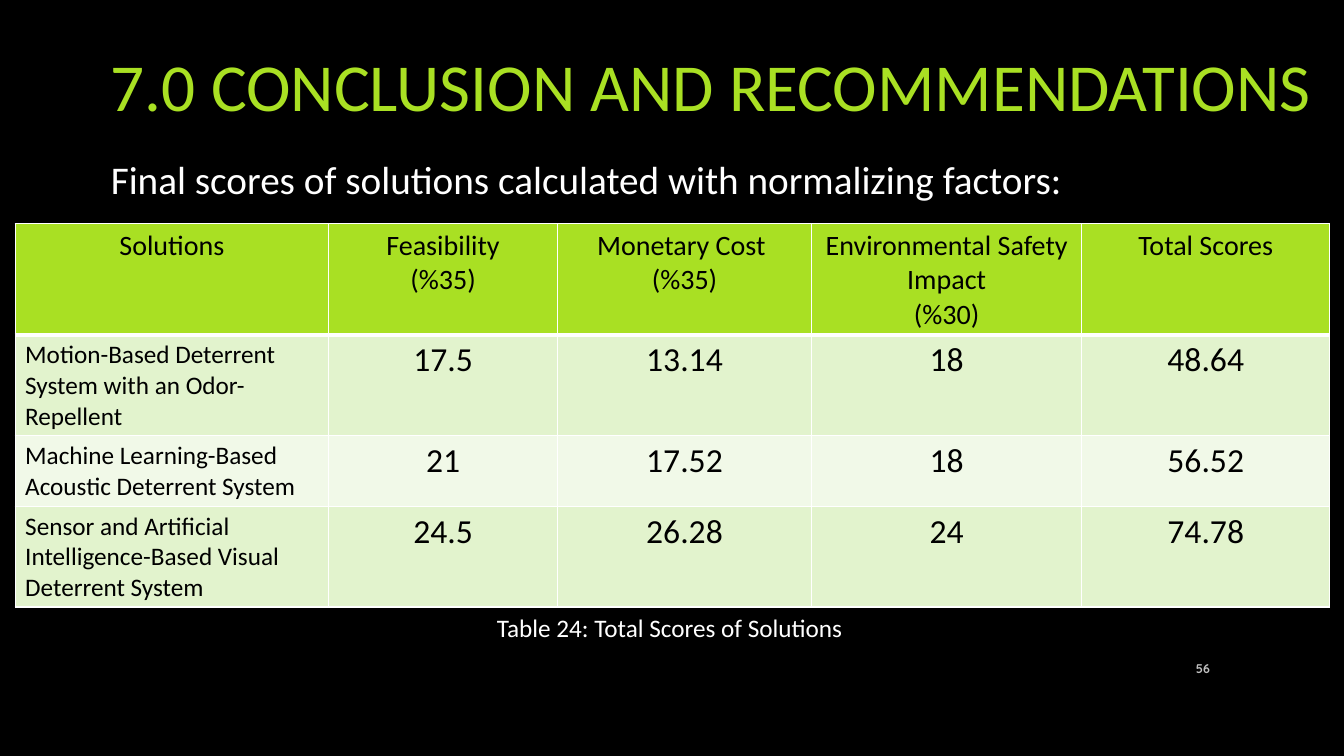
"""Build the slide with the final weighted scores of the three solutions."""
from lxml import etree
from pptx import Presentation
from pptx.dml.color import RGBColor
from pptx.enum.text import MSO_ANCHOR, MSO_AUTO_SIZE, PP_ALIGN
from pptx.oxml.ns import qn
from pptx.util import Inches, Pt

LEFT, CENTER, RIGHT = PP_ALIGN.LEFT, PP_ALIGN.CENTER, PP_ALIGN.RIGHT
TOP, MIDDLE = MSO_ANCHOR.TOP, MSO_ANCHOR.MIDDLE
NO_AUTOFIT = MSO_AUTO_SIZE.NONE
COLORS = {
    "background": "000000",
    "lime": "A9E023",
    "band_dark": "E2F3CD",
    "band_light": "F1F9E8",
    "white": "FFFFFF",
    "black": "000000",
    "gray": "BFBFBF",
}


def write_text(text_frame, text, size, color, alignment=LEFT, font="Calibri", bold=False):
    """Fill a text frame and format every run in it."""
    text_frame.text = text
    for paragraph in text_frame.paragraphs:
        paragraph.alignment = alignment
        for run in paragraph.runs:
            run.font.name = font
            run.font.size = Pt(size)
            run.font.bold = bold
            run.font.color.rgb = RGBColor.from_string(COLORS[color])


def set_borders(cell, widths):
    """Draw white cell borders with widths in points by side."""
    properties = cell._tc.get_or_add_tcPr()
    for index, (side, width) in enumerate(widths.items()):
        line = etree.Element(qn(f"a:ln{side}"), w=str(Pt(width)))
        fill = etree.SubElement(line, qn("a:solidFill"))
        etree.SubElement(fill, qn("a:srgbClr"), val=COLORS["white"])
        properties.insert(index, line)


presentation = Presentation()
presentation.slide_width = Inches(13.33)
presentation.slide_height = Inches(7.5)
slide = presentation.slides.add_slide(presentation.slide_layouts[5])
slide.background.fill.solid()
slide.background.fill.fore_color.rgb = RGBColor.from_string(COLORS["background"])

title = slide.shapes.title
title.left, title.top = Inches(1), Inches(0.03)
title.width, title.height = Inches(12.16), Inches(1.62)
title.text_frame.auto_size = NO_AUTOFIT
title.text_frame.vertical_anchor = MIDDLE
write_text(title.text_frame, "7.0 CONCLUSION AND RECOMMENDATIONS", 48, "lime")

labels = [
    ((1, 1.49, 11.38, 0.57), "Final scores of solutions calculated with normalizing factors:",
     28, "white", LEFT, "Calibri", False, TOP, True),
    ((4.83, 6.03, 3.67, 0.4), "Table 24: Total Scores of Solutions",
     18, "white", LEFT, "Calibri", False, TOP, False),
    ((11.5, 6.43, 0.6, 0.4), "56", 9, "gray", RIGHT, "Quicksand", True, MIDDLE, True),
]
for box, text, size, color, alignment, font, bold, anchor, wrap in labels:
    label = slide.shapes.add_textbox(*map(Inches, box))
    label.text_frame.word_wrap = wrap
    label.text_frame.vertical_anchor = anchor
    write_text(label.text_frame, text, size, color, alignment, font, bold)

scores = [
    ["Solutions", "Feasibility\n(%35)", "Monetary Cost \n(%35)",
     "Environmental Safety Impact\n(%30)", "Total Scores"],
    ["Motion-Based Deterrent System with an Odor-Repellent", "17.5", "13.14", "18", "48.64"],
    ["Machine Learning-Based Acoustic Deterrent System", "21", "17.52", "18", "56.52"],
    ["Sensor and Artificial Intelligence-Based Visual Deterrent System",
     "24.5", "26.28", "24", "74.78"],
]
column_widths = [3.11, 2.27, 2.52, 2.68, 2.46]
row_heights = [1.1, 1, 0.7, 1]
row_fills = ["lime", "band_dark", "band_light", "band_dark"]
table = slide.shapes.add_table(
    len(scores), len(column_widths), Inches(0.15), Inches(2.22),
    Inches(sum(column_widths)), Inches(sum(row_heights))).table
for column, width in zip(table.columns, column_widths):
    column.width = Inches(width)
for row, height in zip(table.rows, row_heights):
    row.height = Inches(height)

for row_index, row_values in enumerate(scores):
    for column_index, value in enumerate(row_values):
        cell = table.cell(row_index, column_index)
        cell.fill.solid()
        cell.fill.fore_color.rgb = RGBColor.from_string(COLORS[row_fills[row_index]])
        is_name = row_index > 0 and column_index == 0
        size = 20 if row_index == 0 else 18 if is_name else 24
        write_text(cell.text_frame, value, size, "black", LEFT if is_name else CENTER)
        set_borders(cell, {"L": 1, "R": 1, "T": 3 if row_index == 1 else 1,
                           "B": 3 if row_index == 0 else 1})

presentation.save("out.pptx")
